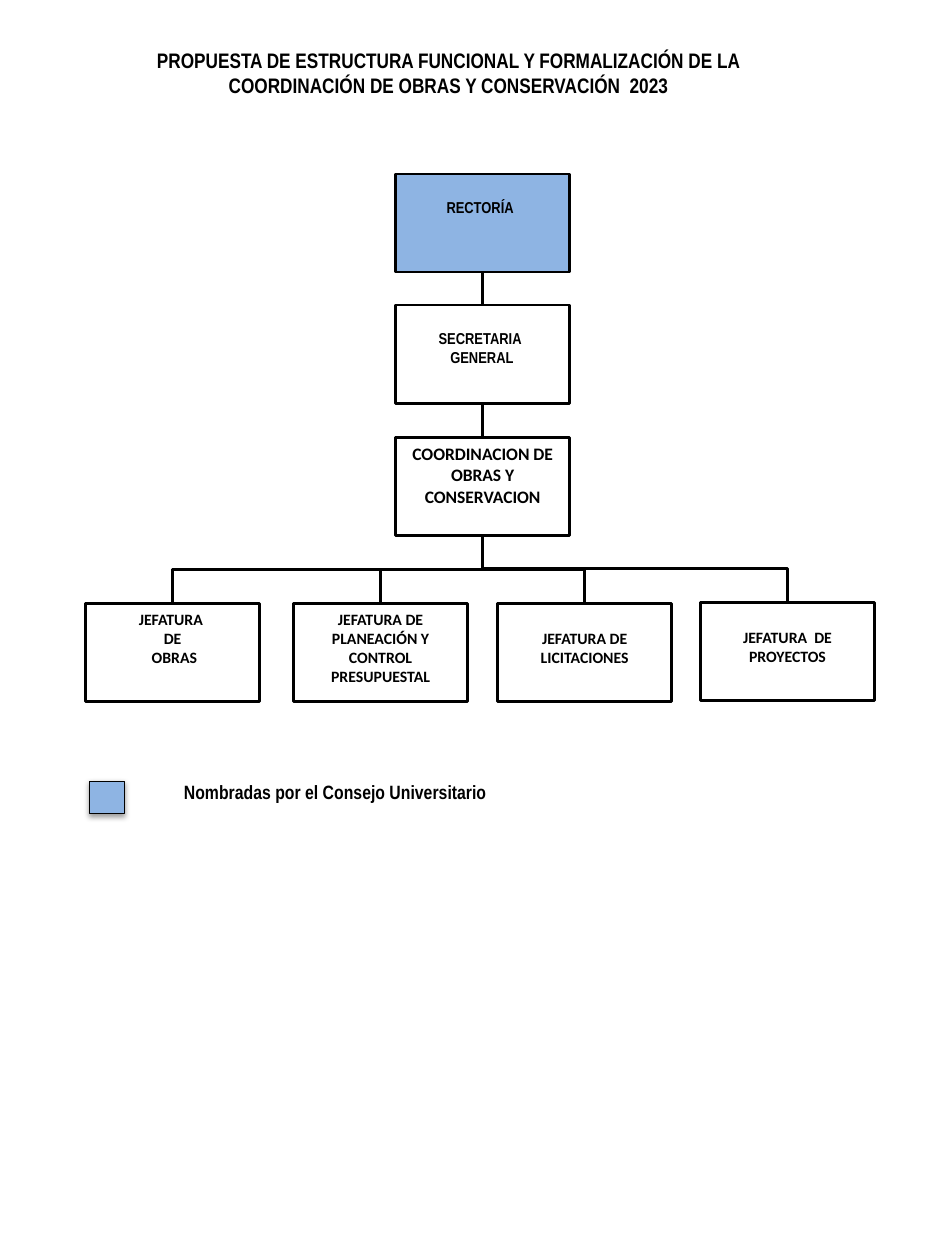
from dataclasses import dataclass

import pptx
import pptx.dml.color
import pptx.enum.shapes
import pptx.enum.text
import pptx.oxml
import pptx.oxml.ns
import pptx.util

KIND = pptx.enum.shapes.MSO_SHAPE
LINK = pptx.enum.shapes.MSO_CONNECTOR
ALIGN = pptx.enum.text.PP_ALIGN
NS = pptx.oxml.ns.nsdecls("a")
SHADOW = (
    f'<a:effectLst {NS}><a:outerShdw blurRad="39370" dist="20320" dir="5400000" '
    'rotWithShape="0"><a:srgbClr val="000000"><a:alpha val="38000"/></a:srgbClr>'
    "</a:outerShdw></a:effectLst>"
)


@dataclass(frozen=True)
class Theme:
    ink: str = "000000"
    blue: str = "8EB4E3"
    narrow: str = "Arial Narrow"
    plain: str = "Calibri"
    title: float = 12
    legend: float = 11
    lead: float = 10
    body: float = 9
    edge: float = 1.5
    link: float = 1.75
    thin: float = 0.75


THEME = Theme()

# The grid has 75 columns and 100 rows, each a tenth of an inch.
COLS, ROWS = 75, 100
BOX_W, BOX_H = 13.8, 7.8
MID = 31.4
SKIP = 1.5  # one body line
PAD = (1, 0.5, 1, 0.5)
SLIM = (0.4, 0.4, 0.8, 0.4)


@dataclass(frozen=True)
class Unit:
    col: float
    row: float
    lines: tuple[str, ...]
    kind: KIND = KIND.RECTANGLE
    font: str = THEME.plain
    size: float = THEME.body
    fill: str | None = None
    pad: tuple[float, ...] = PAD
    skip: float = 0


CHAIN = (
    Unit(MID, 13.8, ("RECTORÍA",), KIND.FLOWCHART_PROCESS, THEME.narrow,
         fill=THEME.blue, pad=SLIM, skip=SKIP),
    Unit(MID, 24.2, ("SECRETARIA", " GENERAL"), KIND.FLOWCHART_PROCESS, THEME.narrow,
         pad=SLIM, skip=SKIP),
    Unit(MID, 34.7, ("COORDINACION DE OBRAS Y CONSERVACION",), size=THEME.lead),
)
TEAMS = (
    Unit(6.8, 47.9, ("JEFATURA ", "DE", " OBRAS")),
    Unit(23.3, 47.9, ("JEFATURA DE PLANEACIÓN Y CONTROL PRESUPUESTAL",)),
    Unit(39.5, 47.9, ("JEFATURA DE LICITACIONES",), skip=SKIP),
    Unit(55.6, 47.8, ("JEFATURA  DE", "PROYECTOS"), skip=SKIP),
)


def cell(count: float) -> int:
    return pptx.util.Inches(count / 10)


def tint(code: str) -> pptx.dml.color.RGBColor:
    return pptx.dml.color.RGBColor.from_string(code)


def write(shape, *lines: str, font: str = THEME.narrow, size: float = THEME.body,
          align=ALIGN.CENTER, pad: tuple[float, ...] = PAD, skip: float = 0,
          grow: bool = False) -> None:
    """Fill a shape with bold lines; skip lowers the first one."""
    frame = shape.text_frame
    frame.word_wrap = True
    frame.vertical_anchor = pptx.enum.text.MSO_ANCHOR.TOP
    if grow:
        frame.auto_size = pptx.enum.text.MSO_AUTO_SIZE.SHAPE_TO_FIT_TEXT
    left, top, right, low = pad
    frame.margin_left, frame.margin_right = cell(left), cell(right)
    frame.margin_top, frame.margin_bottom = cell(top + skip), cell(low)
    for i, line in enumerate(lines):
        para = frame.paragraphs[0] if i == 0 else frame.add_paragraph()
        para.alignment = align
        run = para.add_run()
        run.text = line
        run.font.name, run.font.bold = font, True
        run.font.size = pptx.util.Pt(size)
        run.font.color.rgb = tint(THEME.ink)


def block(slide, kind: KIND, area: tuple[float, ...], fill: str | None, edge: float):
    shape = slide.shapes.add_shape(kind, *map(cell, area))
    shape.shadow.inherit = False
    if fill:
        shape.fill.solid()
        shape.fill.fore_color.rgb = tint(fill)
    else:
        shape.fill.background()
    shape.line.color.rgb = tint(THEME.ink)
    shape.line.width = pptx.util.Pt(edge)
    return shape


def place(slide, unit: Unit):
    shape = block(slide, unit.kind, (unit.col, unit.row, BOX_W, BOX_H),
                  unit.fill, THEME.edge)
    write(shape, *unit.lines, font=unit.font, size=unit.size,
          pad=unit.pad, skip=unit.skip)
    return shape


def join(slide, upper, lower, kind: LINK = LINK.STRAIGHT):
    """Link the bottom of one box to the top of another."""
    line = slide.shapes.add_connector(kind, 0, 0, 0, 0)
    line.begin_connect(upper, 2)
    line.end_connect(lower, 0)
    line.line.color.rgb = tint(THEME.ink)
    line.line.width = pptx.util.Pt(THEME.link)
    line._element.spPr.append(pptx.oxml.parse_xml(f"<a:effectLst {NS}/>"))
    return line


def branch(slide, upper, lower) -> None:
    """Turn an elbow link so that it leaves and arrives vertically."""
    line = join(slide, upper, lower, LINK.ELBOW)
    right = line.end_x > line.begin_x
    mid_x, mid_y = (line.begin_x + line.end_x) // 2, (line.begin_y + line.end_y) // 2
    span, drop = line.width, line.height
    line.left, line.top = mid_x - drop // 2, mid_y - span // 2
    line.width, line.height = drop, span
    frame = line._element.spPr.find(pptx.oxml.ns.qn("a:xfrm"))
    frame.set("rot", str((270 if right else 90) * 60000))
    frame.set("flipH", "1" if right else "0")


def label(slide, area: tuple[float, ...], text: str, **style) -> None:
    write(slide.shapes.add_textbox(*map(cell, area)), text, grow=True, **style)


def main() -> None:
    deck = pptx.Presentation()
    deck.slide_width, deck.slide_height = cell(COLS), cell(ROWS)
    slide = deck.slides.add_slide(deck.slide_layouts[6])

    label(slide, (10.5, 3.3, 50.2, 5),
          "PROPUESTA DE ESTRUCTURA FUNCIONAL Y FORMALIZACIÓN DE LA "
          "COORDINACIÓN DE OBRAS Y CONSERVACIÓN  2023", size=THEME.title)

    chain = [place(slide, unit) for unit in CHAIN]
    teams = [place(slide, unit) for unit in TEAMS]
    for upper, lower in zip(chain, chain[1:]):
        join(slide, upper, lower)
    for team in teams:
        branch(slide, chain[-1], team)

    key = block(slide, KIND.RECTANGLE, (7.1, 62, 2.8, 2.6), THEME.blue, THEME.thin)
    props = key._element.spPr
    props.remove(props.find(pptx.oxml.ns.qn("a:effectLst")))
    props.append(pptx.oxml.parse_xml(SHADOW))
    label(slide, (14.6, 61, 28.4, 4.4), "Nombradas por el Consejo Universitario",
          size=THEME.legend, align=ALIGN.LEFT, pad=(0, 1.2, 2.5, 1.2))

    deck.save("out.pptx")


if __name__ == "__main__":
    main()
